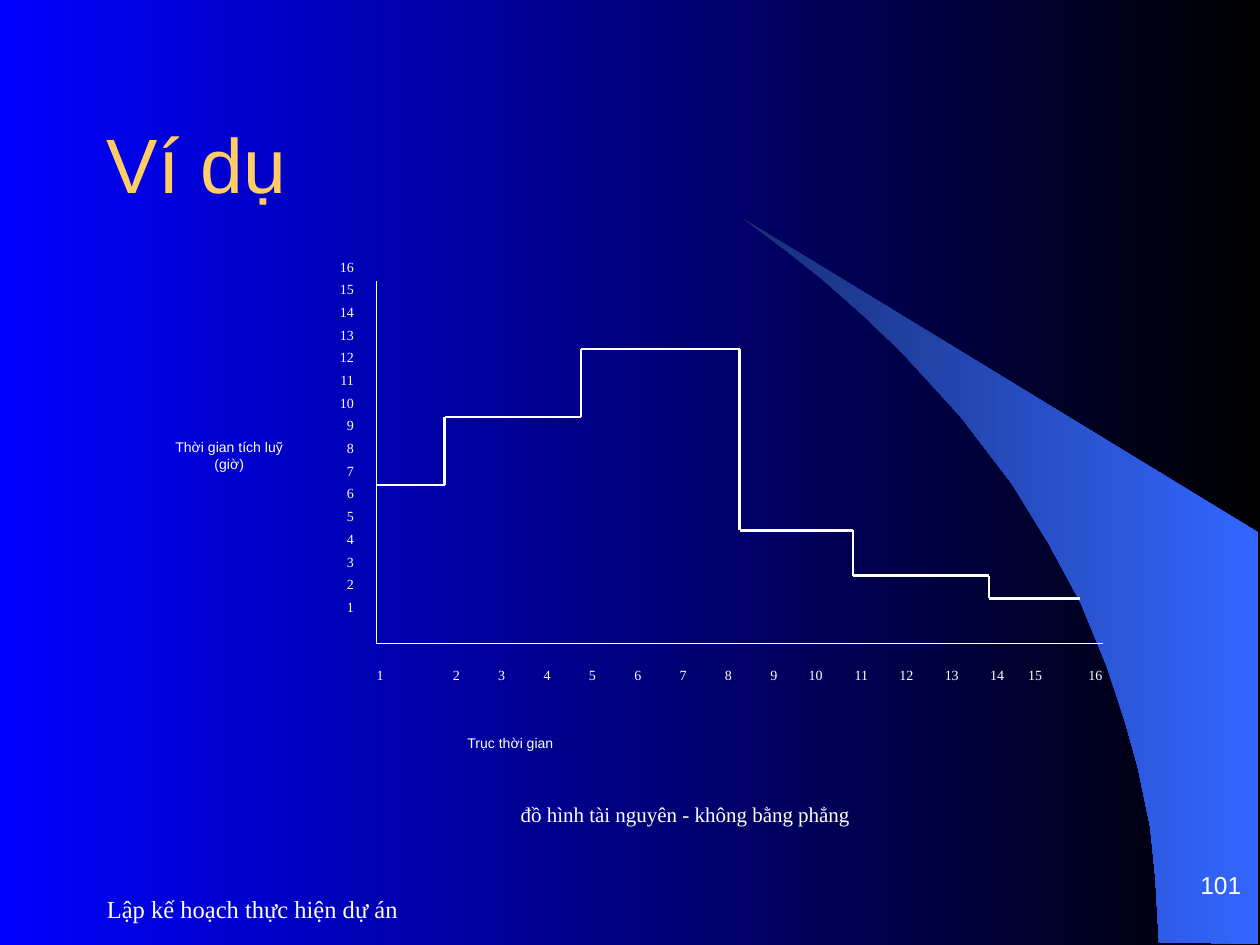
from collections import namedtuple
from itertools import pairwise

from lxml.etree import SubElement
from pptx import Presentation
from pptx.dml.color import RGBColor
from pptx.enum.shapes import MSO_CONNECTOR as CONN
from pptx.enum.text import MSO_ANCHOR as ANCHOR, PP_ALIGN as ALIGN
from pptx.oxml.ns import qn
from pptx.util import Inches, Pt

SANS, SERIF = "Arial", "Times New Roman"
WHITE, GOLD = "FFFFFF", "FFCC66"
WIDTH, HEIGHT = Inches(10), Inches(7.5)

Box = namedtuple("Box", "x y w h")


def share(x, y, w, h):
    """Box from percentages of the slide's width and height."""
    return Box(WIDTH * x / 100, HEIGHT * y / 100, WIDTH * w / 100, HEIGHT * h / 100)


def color(value):
    return RGBColor.from_string(value)


def set_gradient(fill, *colors):
    fill.gradient()
    fill.gradient_angle = 0
    for stop, value in zip(fill.gradient_stops, colors):
        stop.color.rgb = color(value)


def add_text(shapes, box, text, size, font, fill=WHITE, align=ALIGN.LEFT,
             anchor=ANCHOR.TOP, inset=(0, 0)):
    tf = shapes.add_textbox(*map(round, box)).text_frame
    tf.word_wrap = True
    tf.vertical_anchor = anchor
    tf.margin_left = tf.margin_right = Inches(inset[0])
    tf.margin_top = tf.margin_bottom = Inches(inset[1])
    tf.text = text
    for p in tf.paragraphs:
        p.alignment = align
        for r in p.runs:
            r.font.size, r.font.name = Pt(size), font
            r.font.color.rgb = color(fill)


def add_line(shapes, start, end, width):
    line = shapes.add_connector(CONN.STRAIGHT, *map(round, (*start, *end)))
    line.line.color.rgb = color(WHITE)
    line.line.width = Pt(width)
    SubElement(line._element.spPr, qn("a:effectLst"))


def add_swoosh(shapes, box):
    # Outline in percentages of the box
    outline = [(80.7, 99.8), (100, 100), (100, 43.4), (0, 0), (8.5, 4.5),
               (15.6, 8.5), (23.4, 13.4), (31, 18.6), (42.2, 27.3),
               (52.2, 36.6), (59.3, 44.8), (65.6, 53.1), (70.5, 61.6),
               (74.1, 69.3), (76.6, 75.7), (79, 83.9), (80, 90.8)]
    points = [(box.x + box.w * x / 100, box.y + box.h * y / 100) for x, y in outline]
    builder = shapes.build_freeform(*map(round, points[0]))
    builder.add_line_segments(points[1:], close=True)
    sp = builder.convert_to_shape()
    sp.shadow.inherit = False
    sp.line.fill.background()
    set_gradient(sp.fill, "182F76", "3366FF")


def add_resource_plot(shapes, box):
    """Step plot on a grid of 16 time columns and 17 hour rows."""
    count = 16
    col, row = box.w / count, box.h / (count + 1)

    def at(c, level):
        return box.x + c * col, box.y + (count - level) * row

    # Axes
    add_line(shapes, at(0, 15), at(0, -1), 0.75)
    add_line(shapes, at(0, -1), at(count, -1), 0.75)

    # Hour labels, one on each row
    for hour in range(count, 0, -1):
        add_text(shapes, Box(*at(-1.5, hour), col, 2 * row), str(hour), 8, SERIF,
                 align=ALIGN.RIGHT)

    # Time labels: right edges one column apart, the ends flush with the axis
    right_edges = {n: n - 1 / 6 for n in range(2, count)}
    right_edges.update({1: 1, 15: 14.67, 16: 16})
    for n, right in sorted(right_edges.items()):
        add_text(shapes, Box(*at(right - 1, -2), col, 2 * row), str(n), 8, SERIF,
                 align=ALIGN.LEFT if n == 1 else ALIGN.RIGHT)

    # Steps: the column where each ends, and its hours
    steps = [(1.5, 6), (4.5, 9), (8, 12), (10.5, 4), (13.5, 2), (15.5, 1)]
    corners, start = [], 0
    for end, level in steps:
        corners += [at(start, level), at(end, level)]
        start = end
    group = shapes.add_group_shape()
    for a, b in pairwise(corners):
        add_line(group.shapes, a, b, 1.5)


def build_slide(prs):
    s = prs.slides.add_slide(prs.slide_layouts[6])
    shapes = s.shapes

    # Backdrop
    set_gradient(s.background.fill, "0000FF", "000000")
    add_swoosh(shapes, share(58.9, 23.07, 41, 76.8))

    # Title, footer and page number
    add_text(shapes, share(7.5, 8.93, 88.4, 16.67), "Ví dụ", 44, SANS, GOLD,
             anchor=ANCHOR.MIDDLE, inset=(0.1, 0.05))
    add_text(shapes, share(7.5, 92.8, 46.7, 6.67), "Lập kế hoạch thực hiện dự án",
             14, SERIF, anchor=ANCHOR.MIDDLE, inset=(0.1, 0.05))
    add_text(shapes, share(78.7, 89.6, 20.8, 5.6), "101", 14, SANS,
             align=ALIGN.RIGHT, anchor=ANCHOR.BOTTOM, inset=(0.1, 0))

    # Plot with axis titles and caption
    add_resource_plot(shapes, share(29.9, 27.33, 57.6, 40.8))
    add_text(shapes, share(13.7, 46.4, 9, 9.6), "Thời gian tích luỹ\n(giờ)", 8, SANS,
             align=ALIGN.CENTER)
    add_text(shapes, share(37.1, 77.73, 39.6, 4.8), "Trục thời gian", 8, SANS)
    add_text(shapes, share(26.5, 84.8, 55.8, 9.6),
             "đồ hình tài nguyên - không bằng phẳng", 12, SERIF, align=ALIGN.CENTER)


def main():
    prs = Presentation()
    prs.slide_width, prs.slide_height = WIDTH, HEIGHT
    build_slide(prs)
    prs.save("out.pptx")


if __name__ == "__main__":
    main()
